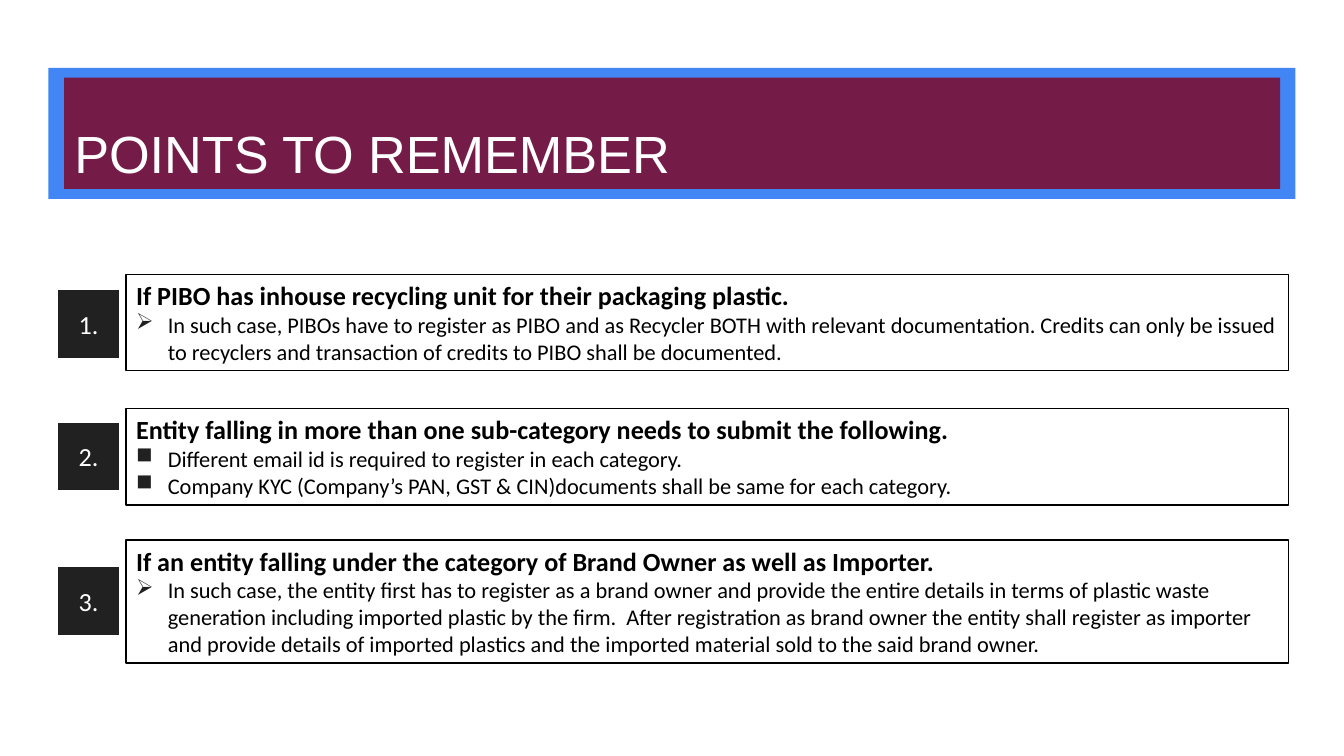
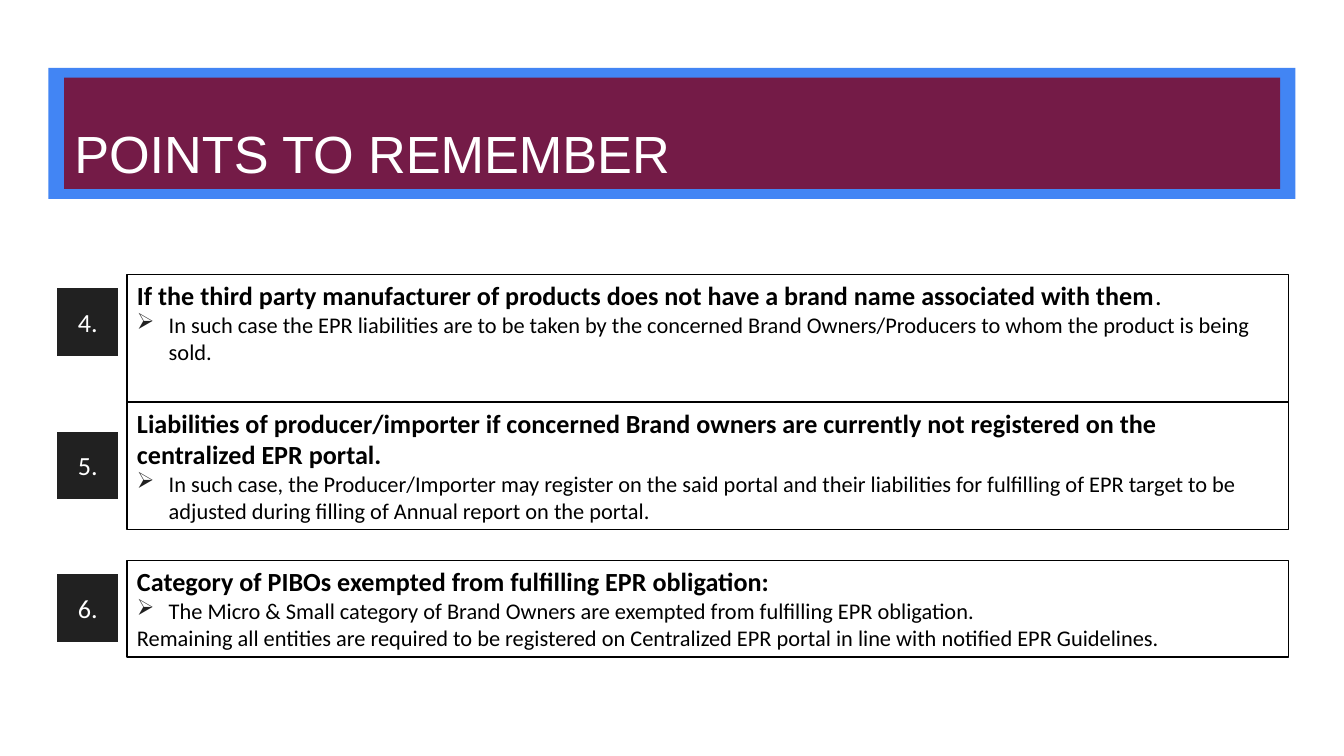
from lxml import etree
from pptx import Presentation
from pptx import util as u
from pptx.dml.color import RGBColor
from pptx.enum import shapes, text
from pptx.oxml.ns import qn

COLOURS = {"band": "4285F4", "title": "741B47", "dark": "212121",
           "ink": "000000", "paper": "FFFFFF"}
# Arrowhead and square in the bullet font
BULLET_FONT, ARROW, SQUARE = "Wingdings", "Ø", "n"
BOX_RIGHT = 690.2
BADGE_WIDTH, BADGE_HEIGHT = 34.6, 38.2

# Each slide: badge left, box left, and its points.
# Each point: badge top, box top, box height, heading, plain ending, [(bullet, line)]
SLIDES = [
    (30.2, 67.5, [
        (154.4, 147, 51.7,
         "If PIBO has inhouse recycling unit for their packaging plastic.", "",
         [(ARROW, "In such case, PIBOs have to register as PIBO and as Recycler BOTH with "
                  "relevant documentation. Credits can only be issued to recyclers and "
                  "transaction of credits to PIBO shall be documented.")]),
        (225.4, 218.8, 51.7,
         "Entity falling in more than one sub-category needs to submit the following.", "",
         [(SQUARE, "Different email id is required to register in each category."),
          (SQUARE, "Company KYC (Company’s PAN, GST & CIN)documents shall be same for "
                   "each category.")]),
        (302.8, 289.3, 66,
         "If an entity falling under the category of Brand Owner as well as Importer.", "",
         [(ARROW, "In such case, the entity first has to register as a brand owner and "
                  "provide the entire details in terms of plastic waste generation including "
                  "imported plastic by the firm.  After registration as brand owner the "
                  "entity shall register as importer and provide details of imported plastics "
                  "and the imported material sold to the said brand owner.")]),
    ]),
    (29.7, 68, [
        (153.4, 147, 68.4,
         "If the third party manufacturer of products does not have a brand name "
         "associated with them", ".",
         [(ARROW, "In such case the EPR liabilities are to be taken by the concerned Brand "
                  "Owners/Producers to whom the product is being sold.")]),
        (230.2, 215.4, 68.4,
         "Liabilities of producer/importer if concerned Brand owners are currently not "
         "registered on the centralized EPR portal.", "",
         [(ARROW, "In such case, the Producer/Importer may register on the said portal and "
                  "their liabilities for fulfilling of EPR target to be adjusted during "
                  "filling of Annual report on the portal.")]),
        (306.7, 300.3, 51.7,
         "Category of PIBOs exempted from fulfilling EPR obligation:", "",
         [(ARROW, "The Micro & Small category of Brand Owners are exempted from fulfilling "
                  "EPR obligation."),
          (None, "Remaining all entities are required to be registered on Centralized EPR "
                 "portal in line with notified EPR Guidelines.")]),
    ]),
]


def add_rectangle(page, left, top, width, height, fill=None, line=None, weight=0.75):
    box = page.shapes.add_shape(shapes.MSO_SHAPE.RECTANGLE, u.Pt(left), u.Pt(top),
                                u.Pt(width), u.Pt(height))
    box.shadow.inherit = False
    if fill:
        box.fill.solid()
        box.fill.fore_color.rgb = RGBColor.from_string(COLOURS[fill])
    else:
        box.fill.background()
    if line:
        box.line.color.rgb = RGBColor.from_string(COLOURS[line])
        box.line.width = u.Pt(weight)
    else:
        box.line.fill.background()
    return box


def set_text(frame, anchor, paras, align=text.PP_ALIGN.LEFT):
    """Fill a frame from (text, bullet, font, size, bold, colour) tuples."""
    frame.word_wrap = True
    frame.auto_size = text.MSO_AUTO_SIZE.NONE
    frame.vertical_anchor = anchor
    frame.margin_left = frame.margin_right = u.Pt(5.4)
    frame.margin_top = frame.margin_bottom = u.Pt(2.7)
    for index, (words, bullet, font, size, bold, colour) in enumerate(paras):
        para = frame.add_paragraph() if index else frame.paragraphs[0]
        para.text = words
        para.alignment = align
        if bullet:
            props = para._p.get_or_add_pPr()
            props.set("marL", str(u.Pt(17)))
            props.set("indent", str(u.Pt(-17)))
            tint = etree.SubElement(props, qn("a:buClr"))
            etree.SubElement(tint, qn("a:srgbClr"), val=COLOURS["dark"])
            etree.SubElement(props, qn("a:buFont"), typeface=BULLET_FONT,
                             pitchFamily="2", charset="2")
            etree.SubElement(props, qn("a:buChar"), char=bullet)
        para.font.name = font
        para.font.size = u.Pt(size)
        para.font.bold = bold
        para.font.color.rgb = RGBColor.from_string(COLOURS[colour])


deck = Presentation()
deck.slide_width, deck.slide_height = u.Pt(720), u.Pt(405)
layout = deck.slide_layouts.get_by_name("Title Only")

for number, (badge_left, box_left, points) in enumerate(SLIDES):
    page = deck.slides.add_slide(layout)

    # Blue band behind every title, kept on the layout
    if number == 0:
        band = add_rectangle(page, 26, 36.3, 668, 70.2, fill="band")
        band._element.nvSpPr.cNvPr.set("id", "20")
        layout.shapes._spTree.insert(2, band._element)

    # Title
    title = page.shapes.title
    title.left, title.top = u.Pt(34.4), u.Pt(41.6)
    title.width, title.height = u.Pt(651.4), u.Pt(59.6)
    title.fill.solid()
    title.fill.fore_color.rgb = RGBColor.from_string(COLOURS["title"])
    set_text(title.text_frame, text.MSO_ANCHOR.BOTTOM,
             [("POINTS TO REMEMBER", None, "Arial", 28, False, "paper")])

    # Numbered points
    for row, (badge_top, top, height, heading, ending, lines) in enumerate(points):
        box = add_rectangle(page, box_left, top, BOX_RIGHT - box_left, height, line="ink")
        paras = [(heading, None, "Calibri", 14, True, "ink")]
        paras += [(line, bullet, "Calibri", 12, False, "ink") for bullet, line in lines]
        set_text(box.text_frame, text.MSO_ANCHOR.TOP, paras)
        if ending:
            span = box.text_frame.paragraphs[0].add_run()
            span.text = ending
            span.font.bold = False

        badge = add_rectangle(page, badge_left, badge_top, BADGE_WIDTH, BADGE_HEIGHT,
                              fill="dark", line="paper", weight=2)
        label = f"{number * len(points) + row + 1}."
        set_text(badge.text_frame, text.MSO_ANCHOR.MIDDLE,
                 [(label, None, "Calibri", 14, False, "paper")], text.PP_ALIGN.CENTER)

deck.save("out.pptx")
